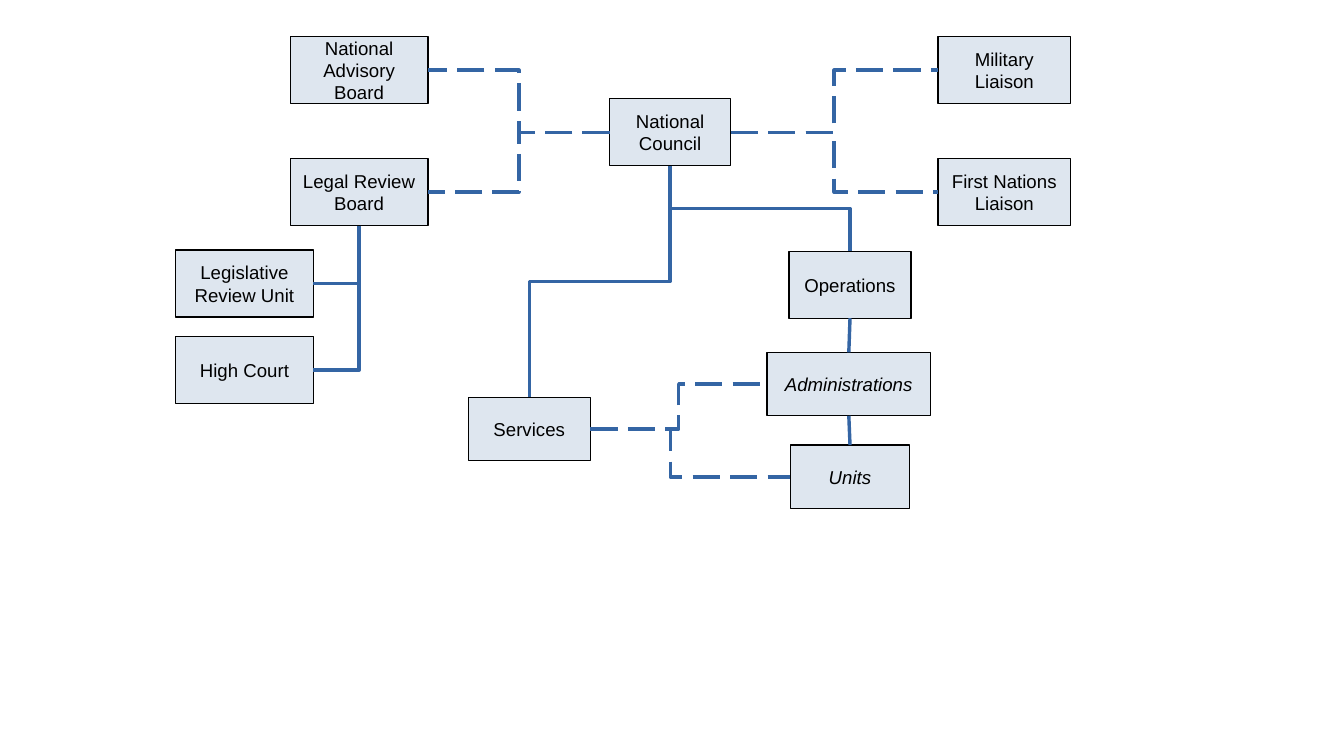
from lxml.etree import SubElement
from pptx import Presentation
from pptx.dml.color import RGBColor
from pptx.enum.dml import MSO_LINE as Dash
from pptx.enum.shapes import MSO_CONNECTOR as Conn, MSO_SHAPE as Shape
from pptx.enum.text import MSO_ANCHOR as Anchor, PP_ALIGN as Align
from pptx.oxml.ns import qn
from pptx.util import Inches, Pt

COLORS = {"box": "DEE6EF", "ink": "000000", "link": "3465A4"}
TOP, LEFT, BOTTOM, RIGHT = range(4)

# name: (left, top, width, height, italic)
UNITS = {
    "National Council": (5, 0.81, 0.99, 0.55, False),
    "National Advisory Board": (2.38, 0.3, 1.13, 0.55, False),
    "Legal Review Board": (2.38, 1.3, 1.13, 0.55, False),
    "Military Liaison": (7.69, 0.3, 1.09, 0.55, False),
    "First Nations Liaison": (7.69, 1.3, 1.09, 0.55, False),
    "Operations": (6.47, 2.06, 1, 0.55, False),
    "Services": (3.84, 3.26, 1, 0.52, False),
    "Administrations": (6.29, 2.89, 1.34, 0.52, True),
    "Units": (6.48, 3.65, 0.98, 0.52, True),
    "Legislative Review Unit": (1.44, 2.05, 1.13, 0.55, False),
    "High Court": (1.44, 2.76, 1.13, 0.55, False),
}

# (from, side, to, side, dashed, share of the way to the bend)
LINKS = [
    ("National Council", BOTTOM, "Operations", TOP, False, 0.5),
    ("National Council", BOTTOM, "Services", TOP, False, 0.5),
    ("National Council", LEFT, "Legal Review Board", RIGHT, True, 0.5),
    ("National Council", LEFT, "National Advisory Board", RIGHT, True, 0.5),
    ("National Council", RIGHT, "Military Liaison", LEFT, True, 0.5),
    ("National Council", RIGHT, "First Nations Liaison", LEFT, True, 0.5),
    ("Legal Review Board", BOTTOM, "Legislative Review Unit", RIGHT, False, None),
    ("Legal Review Board", BOTTOM, "High Court", RIGHT, False, None),
    ("Services", RIGHT, "Administrations", LEFT, True, 0.5),
    ("Services", RIGHT, "Units", LEFT, True, 0.4),
]
STRAIGHT_LINKS = [("Operations", "Administrations"), ("Administrations", "Units")]


def rgb(name):
    return RGBColor.from_string(COLORS[name])


def add_unit(slide, name, left, top, width, height, italic):
    sp = slide.shapes.add_shape(Shape.RECTANGLE, *map(Inches, (left, top, width, height)))
    sp.shadow.inherit = False
    sp.fill.solid()
    sp.fill.fore_color.rgb = rgb("box")
    sp.line.color.rgb = rgb("ink")
    sp.line.width = Pt(0)
    tf = sp.text_frame
    tf.word_wrap = True
    tf.vertical_anchor = Anchor.MIDDLE
    p = tf.paragraphs[0]
    p.alignment = Align.CENTER
    r = p.add_run()
    r.text = name
    r.font.name = "Arial"
    r.font.size = Pt(11)
    r.font.italic = italic
    r.font.color.rgb = rgb("ink")
    return sp


def add_link(slide, kind, start, start_side, end, end_side, dashed=False):
    line = slide.shapes.add_connector(kind, 0, 0, 0, 0)
    line.begin_connect(start, start_side)
    line.end_connect(end, end_side)
    line.line.color.rgb = rgb("link")
    line.line.width = Pt(0)
    if dashed:
        line.line.dash_style = Dash.LONG_DASH
    SubElement(line._element.spPr, qn("a:effectLst"))
    return line


def turn_downward(line):
    """Rotate an elbow by 90 degrees so that it leaves its start vertically."""
    x1, y1, x2, y2 = line.begin_x, line.begin_y, line.end_x, line.end_y
    mid_x, mid_y = (x1 + x2) // 2, (y1 + y2) // 2
    half_w, half_h = (x2 - x1) // 2, (y2 - y1) // 2
    line.begin_x, line.end_x = mid_x - half_h, mid_x + half_h
    line.begin_y, line.end_y = mid_y + half_w, mid_y - half_w
    line._element.spPr.find(qn("a:xfrm")).set("rot", "5400000")


def set_bend(line, bend):
    """Place the bend of an elbow; None gives a single corner."""
    geom = line._element.spPr.find(qn("a:prstGeom"))
    if bend is None:
        geom.set("prst", "bentConnector2")
    else:
        guide = SubElement(geom.find(qn("a:avLst")), qn("a:gd"))
        guide.set("name", "adj1")
        guide.set("fmla", f"val {round(bend * 100000)}")


def main():
    prs = Presentation()
    prs.slide_width, prs.slide_height = Inches(11.02), Inches(6.2)
    slide = prs.slides.add_slide(prs.slide_layouts[6])

    boxes = {name: add_unit(slide, name, *spec) for name, spec in UNITS.items()}
    for start, start_side, end, end_side, dashed, bend in LINKS:
        line = add_link(slide, Conn.ELBOW, boxes[start], start_side,
                        boxes[end], end_side, dashed)
        if start_side == BOTTOM:
            turn_downward(line)
        set_bend(line, bend)
    for upper, lower in STRAIGHT_LINKS:
        add_link(slide, Conn.STRAIGHT, boxes[upper], BOTTOM, boxes[lower], TOP)

    prs.save("out.pptx")


if __name__ == "__main__":
    main()
